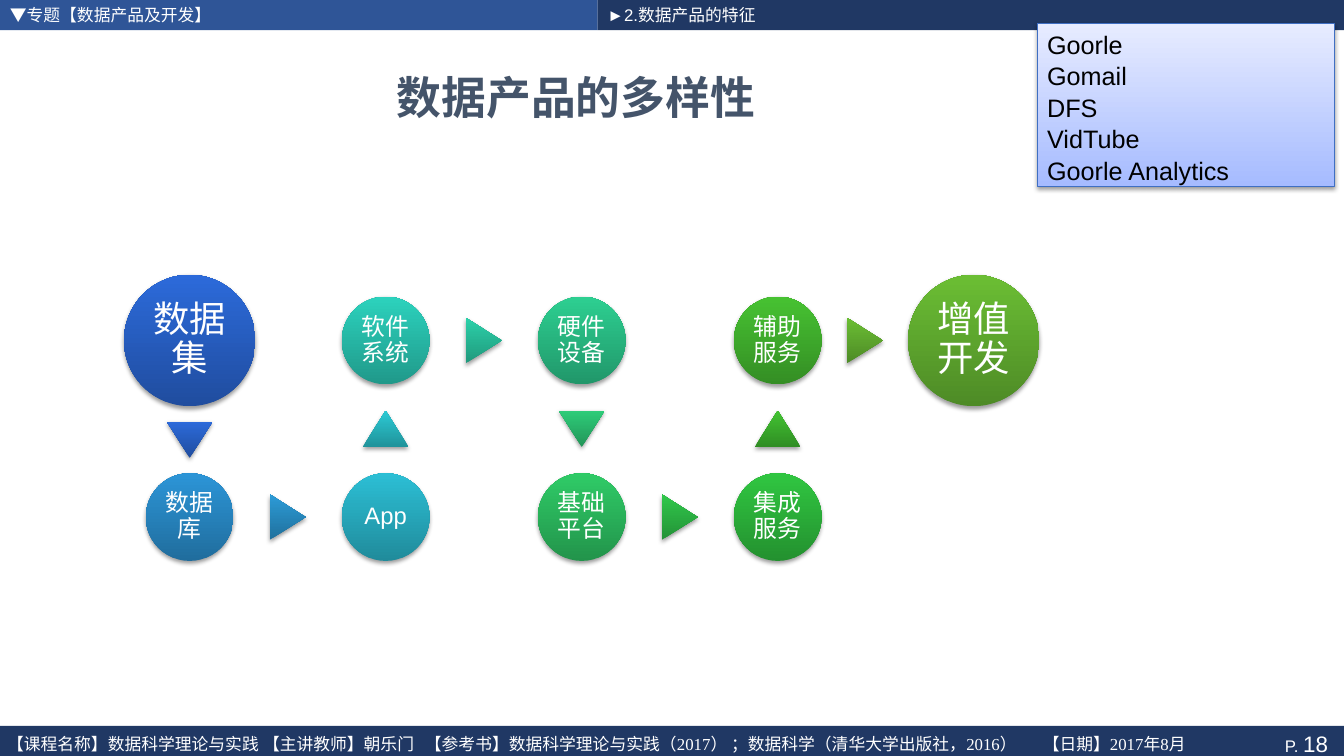
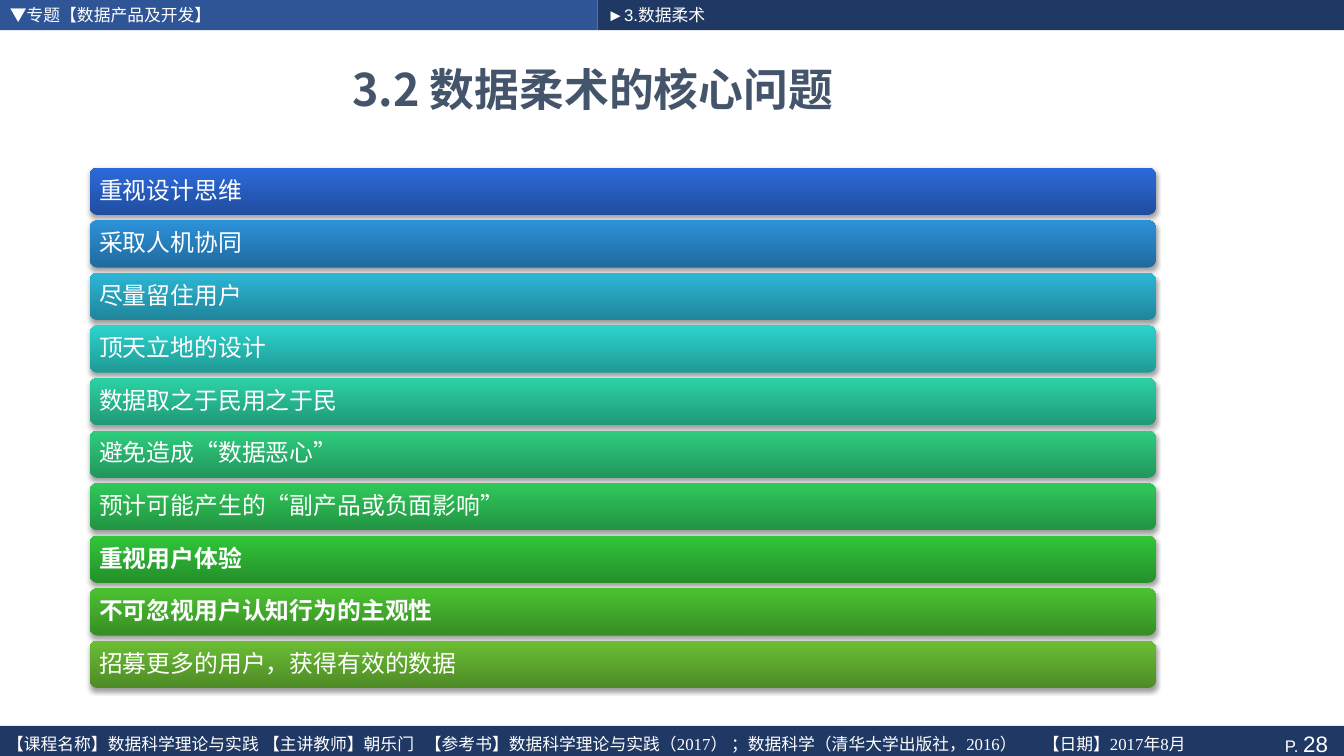
import pptx
import pptx.util
import pptx.dml.color
import pptx.enum.shapes
import pptx.enum.text
import pptx.oxml
import pptx.oxml.ns

Cm = pptx.util.Cm
Pt = pptx.util.Pt
RGBColor = pptx.dml.color.RGBColor
SHAPE = pptx.enum.shapes.MSO_SHAPE
ALIGN = pptx.enum.text.PP_ALIGN
ANCHOR = pptx.enum.text.MSO_ANCHOR

# Content
TOPIC = "▼专题【数据产品及开发】"
FOOTER = [
    "【课程名称】数据科学理论与实践",
    "【主讲教师】朝乐门",
    "【参考书】数据科学理论与实践（2017） ；数据科学（清华大学出版社，2016）",
    "【日期】2017年8月",
]
FOOTER_TABS = [6.45, 10.53, 26.1]

PRODUCTS = ["Goorle", "Gomail", "DFS", "VidTube", "Goorle Analytics"]

# Chain of products: text, column, row, circle colour, colour of the arrow before it
CHAIN = [
    ("数据集", 0, 0, "2C6ADA", None),
    ("数据库", 0, 1, "2C95D7", "2C6ADA"),
    ("App", 1, 1, "2CBFD5", "2C9BD7"),
    ("软件系统", 1, 0, "2CD2BD", "2CCAD4"),
    ("硬件设备", 2, 0, "2DCF91", "2CD1AA"),
    ("基础平台", 2, 1, "2FCB67", "2ECC79"),
    ("集成服务", 3, 1, "30C641", "30C84B"),
    ("辅助服务", 3, 0, "47C232", "42C332"),
    ("增值开发", 4, 0, "6BBE34", "6BBE34"),
]

# Core issues: text, colour, bold
ISSUES = [
    ("重视设计思维", "2C6ADA", False),
    ("采取人机协同", "2C91D8", False),
    ("尽量留住用户", "2CB6D5", False),
    ("顶天立地的设计", "2CD3CC", False),
    ("数据取之于民用之于民", "2CD1A5", False),
    ("避免造成“数据恶心”", "2ECD7E", False),
    ("预计可能产生的“副产品或负面影响”", "2FC95A", False),
    ("重视用户体验", "31C539", True),
    ("不可忽视用户认知行为的主观性", "4BC232", True),
    ("招募更多的用户，获得有效的数据", "6BBE34", False),
]

# Style
BLUE = RGBColor(0x2F, 0x55, 0x97)
NAVY = RGBColor(0x20, 0x38, 0x64)
SLATE = RGBColor(0x44, 0x54, 0x6A)
WHITE = RGBColor(0xFF, 0xFF, 0xFF)
BLACK = RGBColor(0, 0, 0)
CALLOUT_DARK = RGBColor(0xA6, 0xBB, 0xFF)
CALLOUT_LIGHT = RGBColor(0xE7, 0xEC, 0xFF)
CALLOUT_LINE = RGBColor(0x3F, 0x6F, 0xC3)
SHADE = 0.73
CJK_FONT = "Noto Sans CJK SC"
LATIN_FONT = "Arial"
FOOTER_FONT = "Times New Roman"

# Measures in centimetres
PAGE_WIDTH, PAGE_HEIGHT = 33.87, 19.05
BAND_HEIGHT, BAND_SPLIT = 0.76, 15.06
COLUMN_START, COLUMN_STEP = 4.78, 4.94
ROW_CENTRES = [8.58, 13.03]
SMALL, LARGE = 2.21, 3.31
ARROW_WIDTH, ARROW_HEIGHT = 1.15, 0.91
BAR_LEFT, BAR_WIDTH, BAR_HEIGHT = 2.26, 26.87, 1.19
BARS_TOP, BARS_BOTTOM = 4.23, 17.34


def add_span(para, text, size, color, font=LATIN_FONT, bold=False):
    span = para.add_run()
    span.text = text
    span.font.size = Pt(size)
    span.font.name = font
    span.font.bold = bold
    span.font.color.rgb = color
    east_asian = pptx.oxml.parse_xml(
        f'<a:ea {pptx.oxml.ns.nsdecls("a")} typeface="{CJK_FONT}"/>')
    span.font._element.find(pptx.oxml.ns.qn("a:latin")).addnext(east_asian)


def set_frame(box, anchor, left=0.25, top=0.13, right=0.25, bottom=0.13):
    frame = box.text_frame
    frame.word_wrap = True
    frame.vertical_anchor = anchor
    frame.margin_left, frame.margin_top = Cm(left), Cm(top)
    frame.margin_right, frame.margin_bottom = Cm(right), Cm(bottom)
    para = frame.paragraphs[0]
    para.alignment = ALIGN.LEFT
    return para


def add_box(page, left, top, width, height):
    return page.shapes.add_textbox(Cm(left), Cm(top), Cm(width), Cm(height))


def add_plain(page, kind, left, top, width, height):
    shape = page.shapes.add_shape(kind, Cm(left), Cm(top), Cm(width), Cm(height))
    shape.shadow.inherit = False
    shape.line.fill.background()
    return shape


def add_band(page, left, top, width, color):
    band = add_plain(page, SHAPE.RECTANGLE, left, top, width, BAND_HEIGHT)
    band.fill.solid()
    band.fill.fore_color.rgb = color
    return band


def add_glossy(page, kind, left, top, width, height, light, dark=None):
    """Shape that darkens downwards and casts a soft shadow."""
    shape = add_plain(page, kind, left, top, width, height)
    dark = dark or RGBColor(*(round(part * SHADE) for part in light))
    shape.fill.gradient()
    shape.fill.gradient_angle = 90
    for stop, color in zip(shape.fill.gradient_stops, (dark, light)):
        stop.color.rgb = color
    properties = shape._element.spPr
    properties.find(pptx.oxml.ns.qn("a:gradFill")).set("rotWithShape", "0")
    properties.find(pptx.oxml.ns.qn("a:effectLst")).append(pptx.oxml.parse_xml(
        f'<a:outerShdw {pptx.oxml.ns.nsdecls("a")} blurRad="40000" dist="23000" '
        'dir="5400000" rotWithShape="0"><a:srgbClr val="000000">'
        '<a:alpha val="38000"/></a:srgbClr></a:outerShdw>'))
    return shape


def add_page(deck, title, title_box, section, number):
    page = deck.slides.add_slide(deck.slide_layouts[6])

    # Header bands
    for left, width, color, text in (
            (0, BAND_SPLIT, BLUE, TOPIC),
            (BAND_SPLIT, PAGE_WIDTH - BAND_SPLIT, NAVY, section)):
        band = add_band(page, left, 0, width, color)
        para = set_frame(band, ANCHOR.MIDDLE, top=0, bottom=0)
        add_span(para, text, 12, WHITE)

    # Footer band with page number
    footer_top = PAGE_HEIGHT - BAND_HEIGHT
    band = add_band(page, 0, footer_top, PAGE_WIDTH, NAVY)
    para = set_frame(band, ANCHOR.TOP, top=0.1, right=0.4, bottom=0)
    para.alignment = ALIGN.RIGHT
    add_span(para, "P. ", 12, WHITE)
    add_span(para, number, 16, WHITE)

    # Course details on tab stops
    box = add_box(page, 0, footer_top, 32.33, BAND_HEIGHT)
    para = set_frame(box, ANCHOR.TOP, left=0.18, top=0.2, bottom=0)
    stops = "".join(f'<a:tab pos="{Cm(stop)}" algn="l"/>' for stop in FOOTER_TABS)
    para._p.get_or_add_pPr().append(pptx.oxml.parse_xml(
        f'<a:tabLst {pptx.oxml.ns.nsdecls("a")}>{stops}</a:tabLst>'))
    add_span(para, "\t".join(FOOTER), 12, WHITE, FOOTER_FONT)

    # Title
    para = set_frame(add_box(page, *title_box), ANCHOR.MIDDLE)
    para.alignment = ALIGN.CENTER
    add_span(para, title, 32, SLATE, CJK_FONT, True)
    return page


def add_arrow(page, start, end, light):
    """Triangle midway between the edges of two circles (x, y, diameter)."""
    (x1, y1, size1), (x2, y2, size2) = start, end
    shift = (size1 - size2) / 4
    if y1 == y2:
        x, y, turn = (x1 + x2) / 2 + shift, y1, 90
    else:
        down = y2 > y1
        x, y = x1, (y1 + y2) / 2 + (shift if down else -shift)
        turn = 180 if down else 0
    arrow = add_glossy(page, SHAPE.ISOSCELES_TRIANGLE, x - ARROW_WIDTH / 2,
                       y - ARROW_HEIGHT / 2, ARROW_WIDTH, ARROW_HEIGHT, light)
    arrow.rotation = turn


def add_chain(page):
    previous = None
    for index, (text, column, row, color, arrow_color) in enumerate(CHAIN):
        is_end = index in (0, len(CHAIN) - 1)
        size = LARGE if is_end else SMALL
        x, y = COLUMN_START + column * COLUMN_STEP, ROW_CENTRES[row]
        current = (x, y, size)
        if previous:
            add_arrow(page, previous, current, RGBColor.from_string(arrow_color))
        circle = add_glossy(page, SHAPE.OVAL, x - size / 2, y - size / 2,
                            size, size, RGBColor.from_string(color))
        inset = 0.1 if is_end else 0.05
        para = set_frame(circle, ANCHOR.MIDDLE, inset, inset, inset, inset)
        para.alignment = ALIGN.CENTER
        para.line_spacing = 0.9
        add_span(para, text, 26 if is_end else 17, WHITE)
        previous = current


def add_callout(page):
    callout = add_glossy(page, SHAPE.RECTANGLE, 26.14, 0.58, 7.49, 4.11,
                         CALLOUT_LIGHT, CALLOUT_DARK)
    callout.line.color.rgb = CALLOUT_LINE
    callout.line.width = Pt(0.5)
    para = set_frame(callout, ANCHOR.TOP)
    for index, product in enumerate(PRODUCTS):
        if index:
            para = callout.text_frame.add_paragraph()
            para.alignment = ALIGN.LEFT
        para.line_spacing = 1.04
        add_span(para, product, 18, BLACK)


def add_issues(page):
    pitch = (BARS_BOTTOM - BARS_TOP - BAR_HEIGHT) / (len(ISSUES) - 1)
    for index, (text, color, bold) in enumerate(ISSUES):
        bar = add_glossy(page, SHAPE.ROUNDED_RECTANGLE, BAR_LEFT,
                         BARS_TOP + index * pitch, BAR_WIDTH, BAR_HEIGHT,
                         RGBColor.from_string(color))
        para = set_frame(bar, ANCHOR.MIDDLE, 0.18, 0.1, 0.18, 0.1)
        para.line_spacing = 0.9
        add_span(para, text, 17, WHITE, bold=bold)


def main():
    deck = pptx.Presentation()
    deck.slide_width, deck.slide_height = Cm(PAGE_WIDTH), Cm(PAGE_HEIGHT)

    page = add_page(deck, "数据产品的多样性", (4.5, 1.3, 20.04, 2.29),
                    "►2.数据产品的特征", "18")
    add_chain(page)
    add_callout(page)

    page = add_page(deck, "3.2 数据柔术的核心问题", (1.12, 1.09, 27.64, 2.29),
                    "►3.数据柔术", "28")
    add_issues(page)

    deck.save("out.pptx")


if __name__ == "__main__":
    main()
